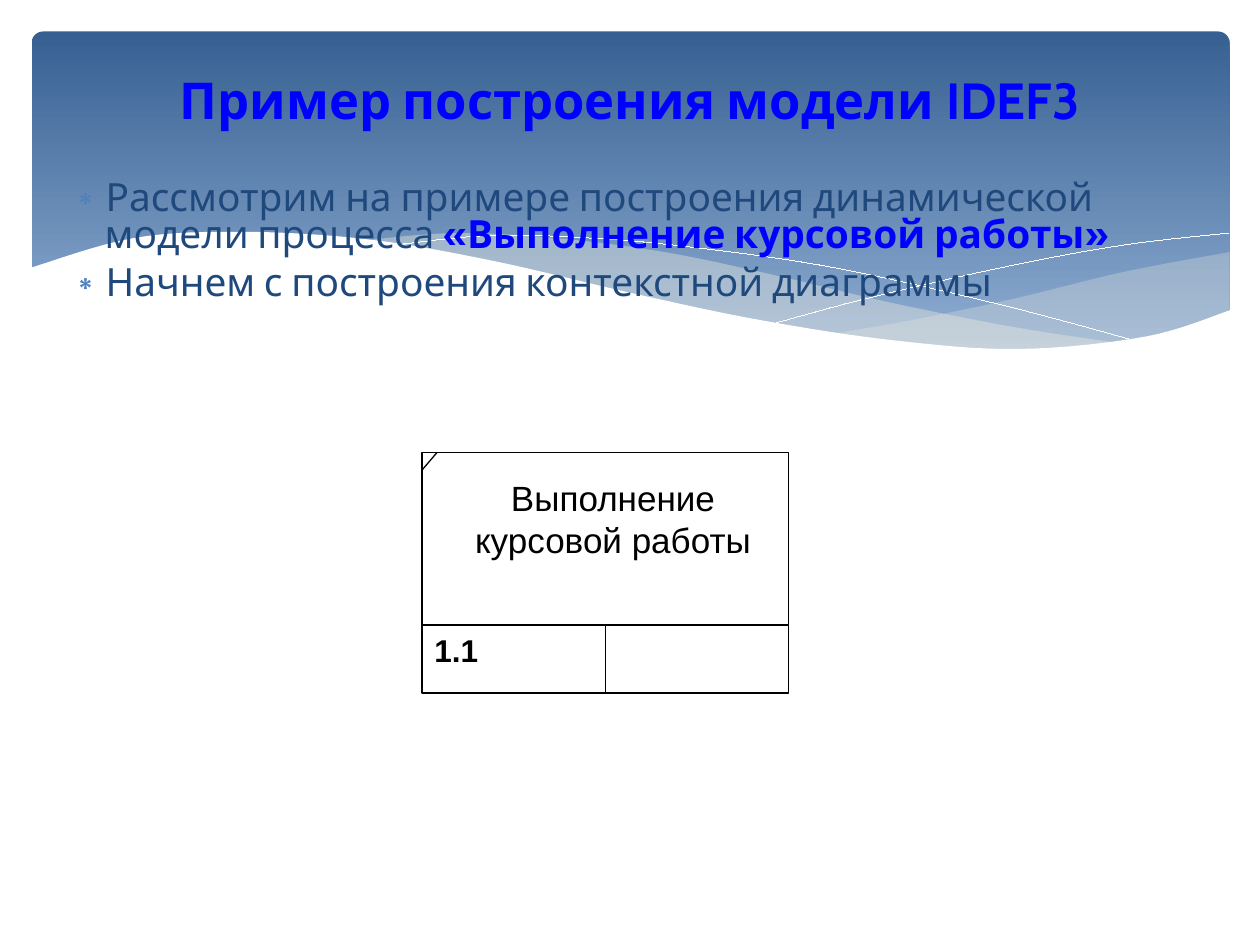
"""Build the IDEF3 example slide with its wave banner and context diagram."""
import pptx
import pptx.util
import pptx.dml.color
import pptx.enum.shapes
import pptx.enum.text
import lxml.etree
from dataclasses import dataclass
from pptx.util import Inches, Pt


@dataclass
class Theme:
    deep: str = "376092"
    light: str = "95B3D7"
    cream: str = "EEECE1"
    white: str = "FFFFFF"
    black: str = "000000"
    blue: str = "0000FF"
    navy: str = "1F497D"
    mark: str = "4F81BD"
    font: str = "Cabin"
    plain: str = "Arial"
    title: float = 29
    body: float = 22.2
    name: float = 20
    code: float = 18
    rule: float = 0.75
    hair: float = 0.01


theme = Theme()
rgb = pptx.dml.color.RGBColor.from_string
kind = pptx.enum.shapes.MSO_SHAPE
align = pptx.enum.text.PP_ALIGN
anchor = pptx.enum.text.MSO_ANCHOR
fit = pptx.enum.text.MSO_AUTO_SIZE
qn = pptx.oxml.ns.qn


def add_run(para, text, size, color, font, bold=False):
    run = para.add_run()
    run.text = text
    run.font.size = Pt(size)
    run.font.name = font
    run.font.bold = bold
    run.font.color.rgb = rgb(color)


def trace_curve(knots, steps=8):
    """Return points on a smooth Catmull-Rom curve through the knots."""
    ends = [knots[0], *knots, knots[-1]]
    points = []
    for quad in zip(ends, ends[1:], ends[2:], ends[3:]):
        for step in range(steps):
            t = step / steps
            points.append(tuple(
                b + t * (c - a) / 2
                + t ** 2 * (2 * a - 5 * b + 4 * c - d) / 2
                + t ** 3 * (3 * b - a - 3 * c + d) / 2
                for a, b, c, d in zip(*quad)))
    return points + [knots[-1]]


prs = pptx.Presentation()
prs.slide_width = Inches(10)
prs.slide_height = Inches(7.5)
slide = prs.slides.add_slide(prs.slide_layouts[1])
shapes = slide.shapes
title, body = slide.placeholders

banner = shapes.add_shape(
    kind.ROUNDED_RECTANGLE, Inches(0.25), Inches(0.25), Inches(9.51), Inches(2.7))
banner.adjustments[0] = 0.034
banner.shadow.inherit = False
banner.line.fill.background()
banner.fill.gradient()
banner.fill.gradient_angle = 270
for stop, color, place in zip(banner.fill.gradient_stops, (theme.deep, theme.light), (0, 1)):
    stop.color.rgb = rgb(color)
    stop.position = place

right = [(9.76, 2), (8.91, 2.16), (8.05, 2.37), (7.29, 2.53), (6.61, 2.65)]
middle = [(8.93, 2.73), (8.07, 2.6), (7.06, 2.4), (6.13, 2.18),
          (5.27, 2), (4.41, 1.89), (3.61, 1.85), (2.86, 1.91)]
fall = [(3.09, 1.95), (3.87, 1.87), (4.69, 1.89), (5.56, 1.97),
        (6.65, 2.13), (7.95, 2.42), (9.07, 2.72)]
rise = [(6.13, 2.57), (6.95, 2.35), (8.06, 2.1), (8.95, 1.94), (9.75, 1.85)]
front = [(9.77, 2.46), (9.1, 2.67), (8.09, 2.77), (7.08, 2.7), (6.03, 2.54), (5.03, 2.33),
         (3.91, 2.07), (2.92, 1.9), (1.93, 1.84), (1.06, 1.89), (0.23, 2.13)]

sheets = [(right, 2.78, theme.cream, 29), (middle, 2.78, theme.cream, 40)]
threads = [(crest, None, theme.white, 100) for crest in (fall, rise)]
cover = [(front, 3.29, theme.white, 100)]
for crest, base, color, alpha in sheets + threads + cover:
    points = trace_curve(crest)
    if base:
        points += [(crest[-1][0], base), (crest[0][0], base)]
    spots = [(Inches(x), Inches(y)) for x, y in points]
    pen = shapes.build_freeform(*spots[0])
    pen.add_line_segments(spots[1:], close=bool(base))
    wave = pen.convert_to_shape()
    wave.shadow.inherit = False
    if base:
        wave.line.fill.background()
        wave.fill.solid()
        wave.fill.fore_color.rgb = rgb(color)
        tone = wave._element.spPr.find(qn("a:solidFill"))[0]
        lxml.etree.SubElement(tone, qn("a:alpha"), val=str(alpha * 1000))
    else:
        wave.fill.background()
        wave.line.color.rgb = rgb(color)
        wave.line.width = Pt(theme.hair)

for holder in (body, title):
    shapes._spTree.append(holder._element)
    holder.text_frame.auto_size = fit.NONE
    holder.text_frame.word_wrap = True

body.left, body.top, body.width, body.height = (
    Inches(0.43), Inches(1.39), Inches(9), Inches(1.26))
body.text_frame.vertical_anchor = anchor.TOP
items = [
    [("Рассмотрим на примере построения динамической модели процесса ", theme.navy, False),
     ("«Выполнение курсовой работы»", theme.blue, True)],
    [("Начнем с построения контекстной диаграммы", theme.navy, False)]]
for row, item in enumerate(items):
    para = body.text_frame.add_paragraph() if row else body.text_frame.paragraphs[0]
    props = para._p.get_or_add_pPr()
    props.set("marL", str(Inches(0.3)))
    props.set("indent", str(Inches(-0.3)))
    tint = lxml.etree.SubElement(props, qn("a:buClr"))
    lxml.etree.SubElement(tint, qn("a:srgbClr"), val=theme.mark)
    lxml.etree.SubElement(props, qn("a:buChar"), char="∗")
    para.line_spacing = 0.8
    para.space_before = Pt(6 if row else 0)
    for text, color, bold in item:
        add_run(para, text, theme.body, color, theme.font, bold)

title.left, title.top, title.width, title.height = (
    Inches(0.5), Inches(0.5), Inches(9), Inches(0.57))
title.text_frame.vertical_anchor = anchor.MIDDLE
head = title.text_frame.paragraphs[0]
head.alignment = align.CENTER
add_run(head, "Пример построения модели IDEF3", theme.title, theme.blue, theme.font, True)

box = shapes.add_shape(
    kind.RECTANGLE, Inches(3.35), Inches(3.59), Inches(2.91), Inches(1.91))
box.shadow.inherit = False
box.fill.background()
box.line.color.rgb = rgb(theme.black)
box.line.width = Pt(theme.rule)
edge = box.left + box.width
floor = box.top + box.height
half = box.left + box.width // 2
split = Inches(4.96)
notch_x = box.left + Inches(0.12)
notch_y = box.top + Inches(0.14)

rules = [
    (box.left, split, edge, split),
    (notch_x, box.top, box.left, notch_y),
    (half, split, half, floor)]
for ends in rules:
    line = shapes.add_connector(pptx.enum.shapes.MSO_CONNECTOR.STRAIGHT, *ends)
    line.line.color.rgb = rgb(theme.black)
    line.line.width = Pt(theme.rule)
    lxml.etree.SubElement(line._element.spPr, qn("a:effectLst"))
    if ends[2:] == (half, floor):
        line.end_connect(box, 2)

labels = [
    ("1.1", box.left, split, half, Inches(0.4), theme.code, True, align.LEFT),
    ("Выполнение курсовой работы", notch_x, notch_y, edge, Inches(0.77),
     theme.name, False, align.CENTER)]
for text, left, top, end, height, size, bold, side in labels:
    label = shapes.add_textbox(left, top, end - left, height)
    label.text_frame.word_wrap = True
    para = label.text_frame.paragraphs[0]
    para.alignment = side
    add_run(para, text, size, theme.black, theme.plain, bold)

prs.save("out.pptx")
